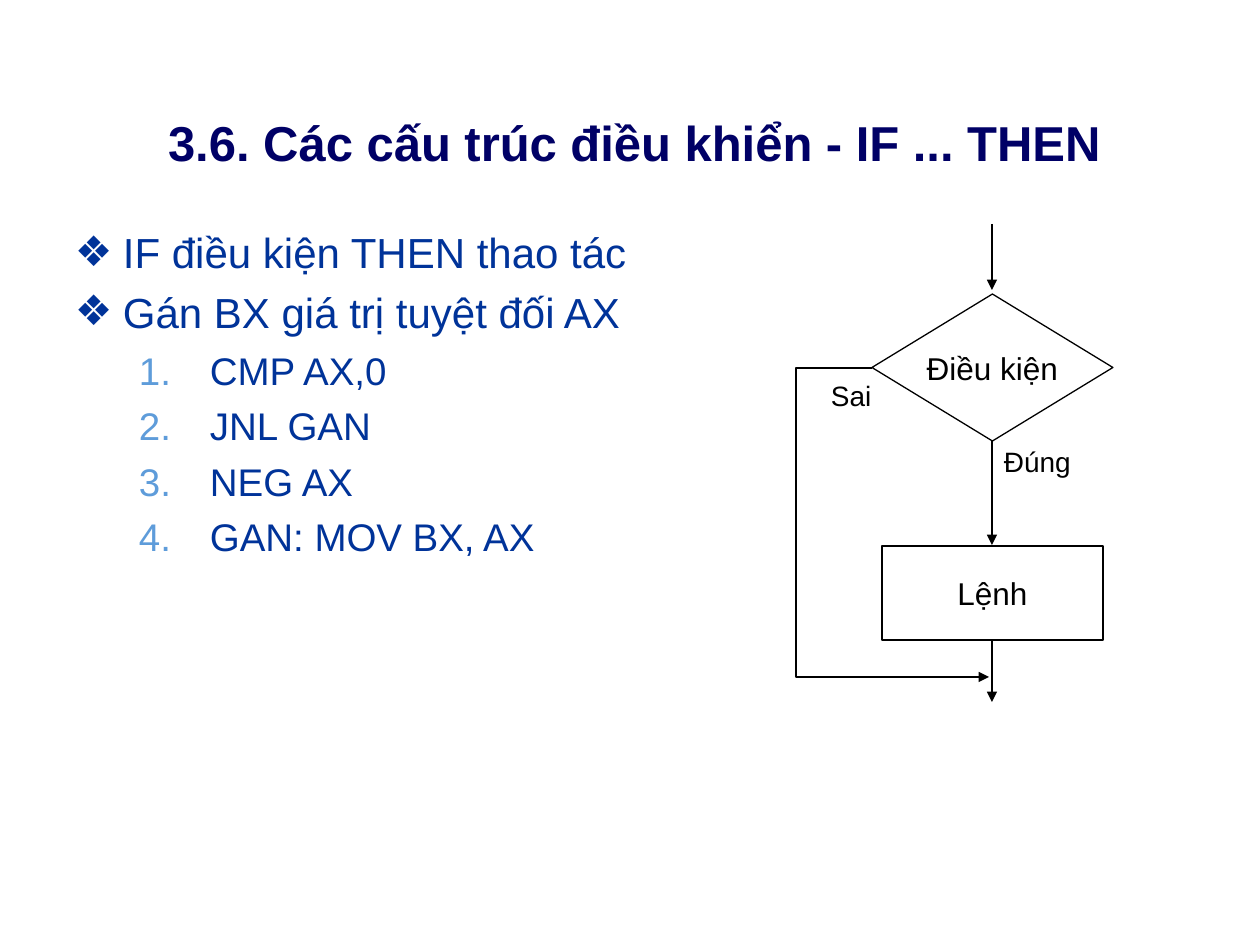
from lxml import etree
from pptx import Presentation
from pptx.dml.color import RGBColor
from pptx.enum.shapes import MSO_SHAPE
from pptx.enum.text import MSO_ANCHOR, PP_ALIGN
from pptx.oxml.ns import qn
from pptx.util import Emu, Pt

DIAMOND, RECTANGLE = MSO_SHAPE.DIAMOND, MSO_SHAPE.RECTANGLE
TOP, MIDDLE = MSO_ANCHOR.TOP, MSO_ANCHOR.MIDDLE
LEFT, CENTER = PP_ALIGN.LEFT, PP_ALIGN.CENTER

NAVY = RGBColor(0x00, 0x00, 0x66)
BLUE = RGBColor(0x00, 0x33, 0x99)
SKY = RGBColor(0x5E, 0x9C, 0xDA)
BLACK = RGBColor(0x00, 0x00, 0x00)

PX = 914400 / 126
AXIS = 992
LOOP_X, LOOP_Y = 796, 677

TITLE = "3.6. Các cấu trúc điều khiển - IF ... THEN"
TITLE_AREA = (168, 112, 938, 62)
TITLE_FONT = {"size": Pt(28), "bold": True}

LISTS = [
    {"area": (74, 227, 580, 116), "lines": ["IF điều kiện THEN thao tác", "Gán BX giá trị tuyệt đối AX"],
     "size": 24, "gap": 5, "margin": 49, "hang": 48,
     "bullet": ("buChar", {"char": "❖"}), "bullet_color": BLUE},
    {"area": (137, 347, 440, 220), "lines": ["CMP AX,0", "JNL GAN", "NEG AX", "GAN: MOV BX, AX"],
     "size": 22, "gap": 5.3, "margin": 73, "hang": 71,
     "bullet": ("buAutoNum", {"type": "arabicPeriod"}), "bullet_color": SKY},
]
LABELS = [("Sai", (831, 379, 60, 36)), ("Đúng", (1004, 445, 80, 36))]
NODES = [
    ("Điều kiện", DIAMOND, (872, 294, 241, 147)),
    ("Lệnh", RECTANGLE, (882, 546, 221, 94)),
]
FLOWS = [(224, 290), (441, 545), (641, 702)]
LOOP = [(872, 368), (LOOP_X, 368), (LOOP_X, LOOP_Y), (AXIS - 3, LOOP_Y)]


def px(value):
    return Emu(round(value * PX))


def lengths(values):
    return [px(value) for value in values]


def set_frame(frame, anchor, wrap):
    values = {"margin_left": 0, "margin_top": 0, "margin_right": 0, "margin_bottom": 0,
              "vertical_anchor": anchor, "word_wrap": wrap}
    for name, value in values.items():
        setattr(frame, name, value)


def write(para, text, color, align=LEFT, **font):
    span = para.add_run()
    span.text = text
    para.alignment = align
    for name, value in {"name": "Arial", **font}.items():
        setattr(span.font, name, value)
    span.font.color.rgb = color


def add_bullet(para, item):
    properties = para._p.get_or_add_pPr()
    properties.set("marL", str(px(item["margin"])))
    properties.set("indent", str(-px(item["hang"])))
    color = etree.SubElement(properties, qn("a:buClr"))
    etree.SubElement(color, qn("a:srgbClr"), val=str(item["bullet_color"]))
    etree.SubElement(properties, qn("a:buFont"), typeface="Arial")
    tag, values = item["bullet"]
    etree.SubElement(properties, qn("a:" + tag), **values)


def add_list(page, item):
    frame = page.shapes.add_textbox(*lengths(item["area"])).text_frame
    set_frame(frame, TOP, True)
    for index, line in enumerate(item["lines"]):
        para = frame.add_paragraph() if index else frame.paragraphs[0]
        add_bullet(para, item)
        if index:
            para.space_before = Pt(item["gap"])
        write(para, line, BLUE, size=Pt(item["size"]))


def add_node(page, text, kind, area):
    node = page.shapes.add_shape(kind, *lengths(area))
    node.shadow.inherit = False
    node.fill.background()
    node.line.color.rgb = BLACK
    node.line.width = Pt(0.75)
    set_frame(node.text_frame, MIDDLE, False)
    write(node.text_frame.paragraphs[0], text, BLACK, CENTER, size=Pt(18))


def style_arrow(arrow):
    arrow.line.color.rgb = BLACK
    arrow.line.width = Pt(0.75)
    etree.SubElement(arrow.line._get_or_add_ln(), qn("a:tailEnd"), type="triangle")


def add_flow(page, start, end):
    arrow = page.shapes.add_connector(1, *lengths((AXIS, start, AXIS, end)))
    style_arrow(arrow)
    etree.SubElement(arrow._element.spPr, qn("a:effectLst"))


def add_loop(page, points):
    builder = page.shapes.build_freeform(*points[0], scale=PX)
    builder.add_line_segments(points[1:], close=False)
    loop = builder.convert_to_shape()
    loop.shadow.inherit = False
    loop.fill.background()
    style_arrow(loop)


def main():
    deck = Presentation()
    deck.slide_width, deck.slide_height = px(1260), px(945)
    page = deck.slides.add_slide(deck.slide_layouts[5])

    title = page.shapes.title
    title.left, title.top, title.width, title.height = lengths(TITLE_AREA)
    set_frame(title.text_frame, TOP, False)
    write(title.text_frame.paragraphs[0], TITLE, NAVY, **TITLE_FONT)

    for item in LISTS:
        add_list(page, item)
    for text, area in LABELS:
        frame = page.shapes.add_textbox(*lengths(area)).text_frame
        set_frame(frame, TOP, False)
        write(frame.paragraphs[0], text, BLACK, size=Pt(16))
    for node in NODES:
        add_node(page, *node)
    for flow in FLOWS:
        add_flow(page, *flow)
    add_loop(page, LOOP)
    deck.save("out.pptx")


if __name__ == "__main__":
    main()
